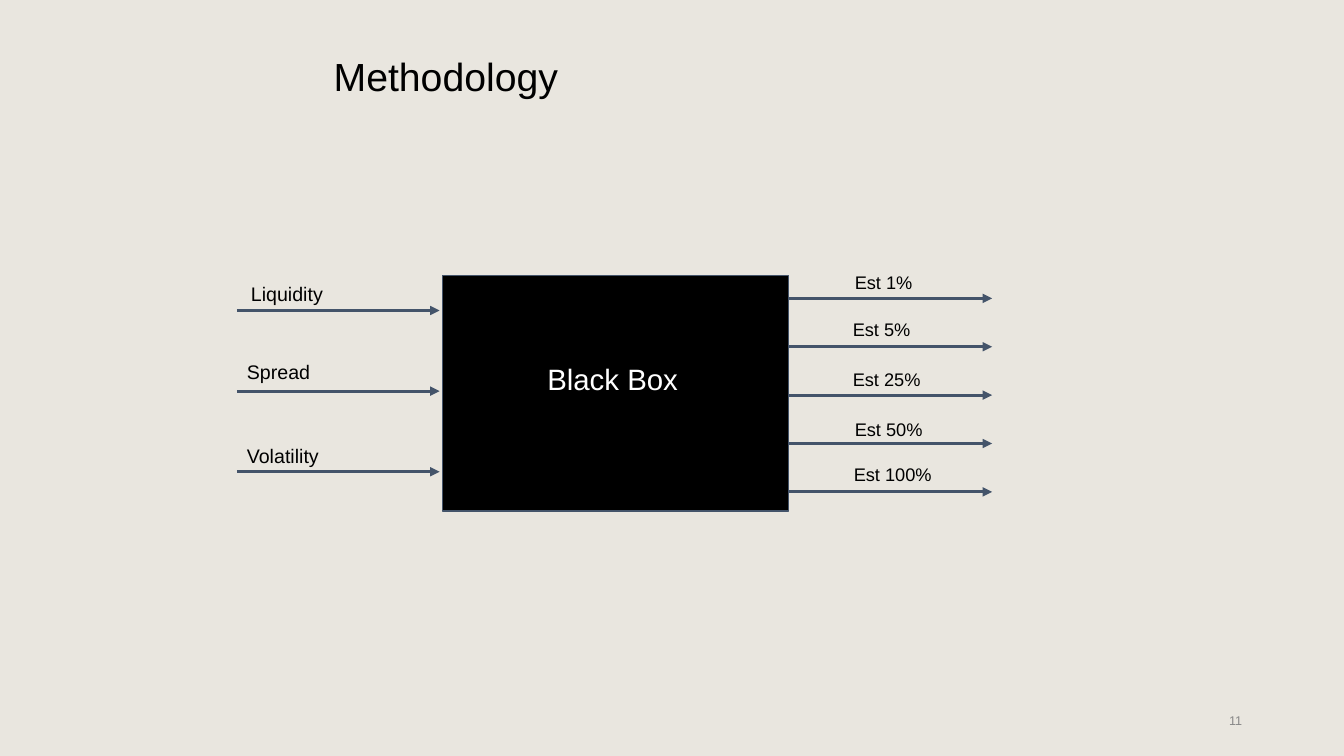
from dataclasses import dataclass

import pptx
import pptx.dml.color
import pptx.enum.shapes
import pptx.enum.text
import pptx.oxml.ns
import pptx.util
from lxml import etree
from pptx.util import Inches


@dataclass(frozen=True)
class Theme:
    font: str = "Arial"
    background: str = "E9E6DF"
    ink: str = "000000"
    reversed_ink: str = "FFFFFF"
    arrow: str = "44546A"
    muted: str = "888888"
    title_size: int = 28
    box_size: int = 21
    input_size: int = 14
    estimate_size: int = 13
    number_size: int = 9
    arrow_width: float = 2.25
    outline_width: float = 0.75


THEME = Theme()
ALIGN = pptx.enum.text.PP_ALIGN
ANCHOR = pptx.enum.text.MSO_ANCHOR

INPUTS = [("Liquidity", 2.39, 2.7), ("Spread", 2.35, 3.47), ("Volatility", 2.35, 4.3)]
ESTIMATES = [
    ("Est 1%", 7.76, 2.62),
    ("Est 5%", 7.74, 3.08),
    ("Est 25%", 7.74, 3.58),
    ("Est 50%", 7.76, 4.07),
    ("Est 100%", 7.75, 4.52),
]


def rgb(value):
    return pptx.dml.color.RGBColor.from_string(value)


def write(holder, text, size, color, align=ALIGN.LEFT, anchor=ANCHOR.TOP, inset=0.1):
    frame = holder.text_frame
    frame.text = text
    frame.word_wrap = True
    frame.auto_size = pptx.enum.text.MSO_AUTO_SIZE.NONE
    frame.vertical_anchor = anchor
    frame.margin_left = frame.margin_right = Inches(0.1)
    frame.margin_top = frame.margin_bottom = Inches(inset)
    paragraph = frame.paragraphs[0]
    paragraph.alignment = align
    font = paragraph.runs[0].font
    font.name = THEME.font
    font.size = pptx.util.Pt(size)
    font.color.rgb = rgb(color)
    return paragraph


def add_title(slide, text):
    title = slide.shapes.title
    title.left, title.top = Inches(3.21), Inches(0.06)
    title.width, title.height = Inches(9.21), Inches(1.45)
    paragraph = write(title, text, THEME.title_size, THEME.ink, anchor=ANCHOR.MIDDLE, inset=0.05)
    paragraph.line_spacing = 0.9


def add_label(slide, text, left, top, width, height, size, color=THEME.ink, **layout):
    label = slide.shapes.add_textbox(Inches(left), Inches(top), Inches(width), Inches(height))
    return write(label, text, size, color, **layout)


def add_estimate(slide, text, left, top):
    paragraph = add_label(slide, text, left, top, 4.8, 0.4, THEME.estimate_size)
    paragraph.line_spacing = 0.9
    paragraph._p.get_or_add_pPr().set("indent", str(Inches(0.62)))


def add_arrow(slide, start, end, y):
    arrow = slide.shapes.add_connector(
        pptx.enum.shapes.MSO_CONNECTOR.STRAIGHT, Inches(start), Inches(y), Inches(end), Inches(y)
    )
    arrow.line.color.rgb = rgb(THEME.arrow)
    arrow.line.width = pptx.util.Pt(THEME.arrow_width)
    qn = pptx.oxml.ns.qn
    etree.SubElement(arrow.line._get_or_add_ln(), qn("a:tailEnd"), type="triangle")
    etree.SubElement(arrow._element.spPr, qn("a:effectLst"))


def add_black_box(slide):
    box = slide.shapes.add_shape(
        pptx.enum.shapes.MSO_SHAPE.RECTANGLE,
        Inches(4.39), Inches(2.73), Inches(3.43), Inches(2.34),
    )
    box.shadow.inherit = False
    box.fill.solid()
    box.fill.fore_color.rgb = rgb(THEME.ink)
    box.line.color.rgb = rgb(THEME.arrow)
    box.line.width = pptx.util.Pt(THEME.outline_width)
    add_label(slide, "Black Box", 5.33, 3.48, 1.8, 0.59, THEME.box_size, THEME.reversed_ink)


def main():
    deck = pptx.Presentation()
    deck.slide_width, deck.slide_height = Inches(13.33), Inches(7.5)
    slide = deck.slides.add_slide(deck.slide_layouts.get_by_name("Title Only"))
    slide.background.fill.solid()
    slide.background.fill.fore_color.rgb = rgb(THEME.background)

    add_title(slide, "Methodology")
    add_black_box(slide)
    for row, (text, left, top) in enumerate(INPUTS):
        add_arrow(slide, 2.35, 4.36, 3.08 + 0.8 * row)
        add_label(slide, text, left, top, 2, 0.44, THEME.input_size)
    for row, (text, left, top) in enumerate(ESTIMATES):
        add_arrow(slide, 7.82, 9.84, 2.96 + 0.48 * row)
        add_estimate(slide, text, left, top)
    add_label(
        slide, "11", 9.42, 6.95, 3, 0.4, THEME.number_size, THEME.muted,
        align=ALIGN.RIGHT, anchor=ANCHOR.MIDDLE, inset=0.05,
    )
    deck.save("out.pptx")


if __name__ == "__main__":
    main()
